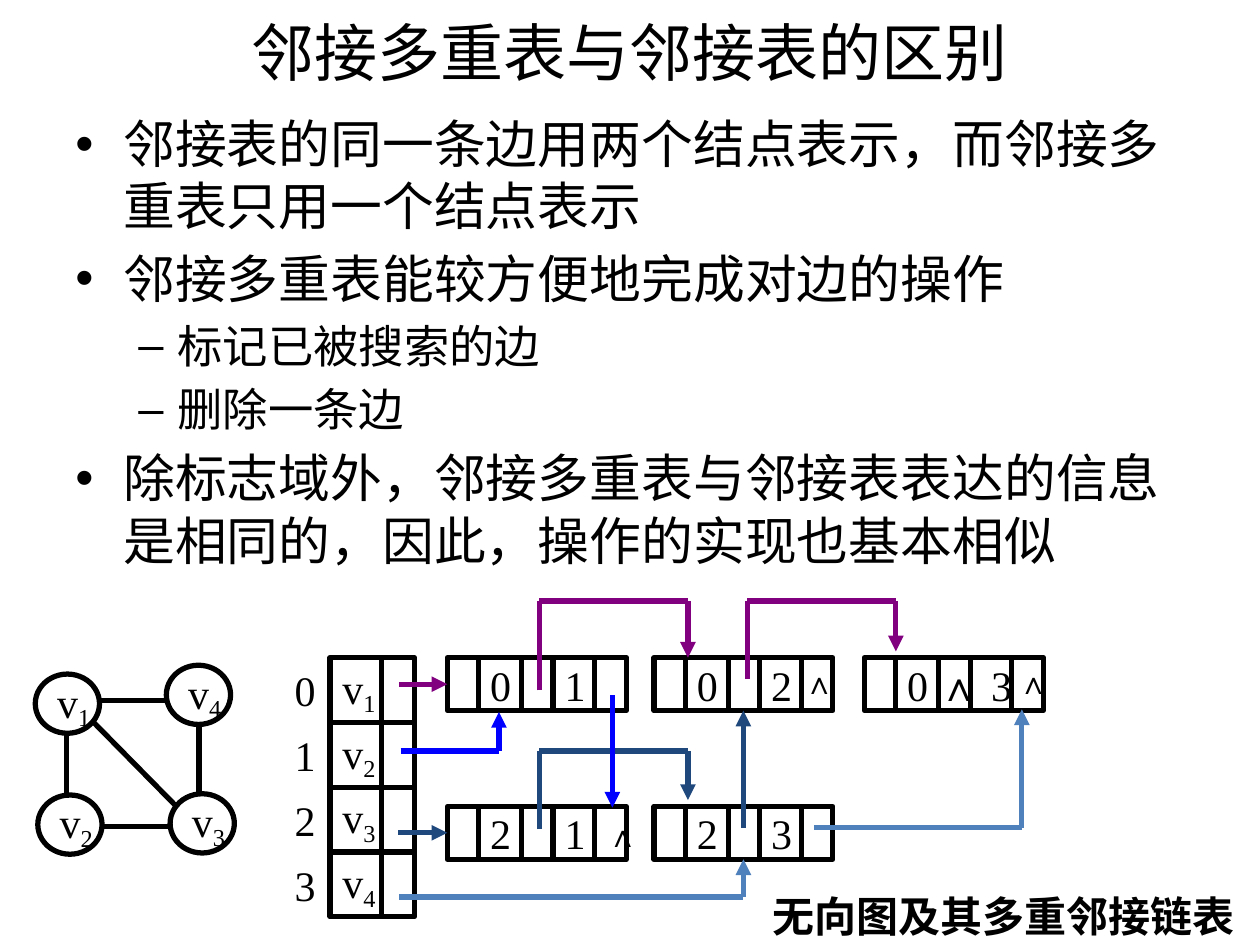
from lxml import etree
from pptx import Presentation
from pptx.dml.color import RGBColor
from pptx.enum import shapes, text
from pptx.oxml.ns import qn
from pptx import util as u

theme = {
    "black": "000000", "purple": "800080", "blue": "0000FF", "navy": "1F497D", "sky": "4F81BD",
    "heading": "Calibri", "diagram": "Times New Roman",
    "title": 36, "body": [29.6, 25.9], "label": 24, "null": 18, "stroke": 3,
}

presentation = Presentation()
presentation.slide_width = u.Inches(10)
presentation.slide_height = u.Inches(7.5)
column = presentation.slide_width / 100
row = presentation.slide_height / 75
slide = presentation.slides.add_slide(presentation.slide_layouts[6])


def box(preset, left, top, width, height, runs, size="label", font="diagram", bold=False,
        align=text.PP_ALIGN.LEFT, wrap=False):
    area = [round(n) for n in (left * column, top * row, width * column, height * row)]
    if preset is None:
        shape = slide.shapes.add_textbox(*area)
    else:
        shape = slide.shapes.add_shape(preset, *area)
        shape.shadow.inherit = False
        shape.fill.background()
        shape.line.color.rgb = RGBColor.from_string(theme["black"])
        shape.line.width = u.Pt(theme["stroke"])
    frame = shape.text_frame
    frame.word_wrap = wrap
    frame.vertical_anchor = text.MSO_ANCHOR.MIDDLE
    paragraph = frame.paragraphs[0]
    paragraph.alignment = align
    for index, words in enumerate(runs):
        run = paragraph.add_run()
        run.text = words
        run.font.name = theme[font]
        run.font.size = u.Pt(theme[size])
        run.font.bold = bold
        run.font.color.rgb = RGBColor.from_string(theme["black"])
        if index:
            run._r.get_or_add_rPr().set("baseline", "-20000")
    return shape


def route(color, points, arrow=True, target=None, side=None):
    for index, (start, end) in enumerate(zip(points, points[1:])):
        connector = slide.shapes.add_connector(
            shapes.MSO_CONNECTOR.STRAIGHT, round(start[0] * column), round(start[1] * row),
            round(end[0] * column), round(end[1] * row))
        connector.line.color.rgb = RGBColor.from_string(theme[color])
        connector.line.width = u.Pt(theme["stroke"])
        last = index == len(points) - 2
        if arrow and last:
            etree.SubElement(connector.line._get_or_add_ln(), qn("a:tailEnd"), type="triangle")
        etree.SubElement(connector._element.spPr, qn("a:effectLst"))
        if target is not None and last:
            connector.end_connect(target, side)


box(None, 5, -0.3, 90, 8.7, ["邻接多重表与邻接表的区别"], "title", "heading",
    align=text.PP_ALIGN.CENTER, wrap=True)

body = box(None, 5, 8.4, 90, 36.6, [], wrap=True).text_frame
body.vertical_anchor = text.MSO_ANCHOR.TOP
points = [
    (0, "邻接表的同一条边用两个结点表示，而邻接多重表只用一个结点表示"),
    (0, "邻接多重表能较方便地完成对边的操作"),
    (1, "标记已被搜索的边"),
    (1, "删除一条边"),
    (0, "除标志域外，邻接多重表与邻接表表达的信息是相同的，因此，操作的实现也基本相似"),
]
for index, (level, words) in enumerate(points):
    paragraph = body.add_paragraph() if index else body.paragraphs[0]
    paragraph.level = level
    paragraph.space_before = u.Pt(theme["body"][level] * 0.2)
    properties = paragraph._p.get_or_add_pPr()
    properties.set("marL", str(round([3.8, 8.1][level] * column)))
    properties.set("indent", str(round([-3.8, -3.1][level] * column)))
    etree.SubElement(properties, qn("a:buFont"), typeface="Arial")
    etree.SubElement(properties, qn("a:buChar"), char="•–"[level])
    run = paragraph.add_run()
    run.text = words
    run.font.name = theme["heading"]
    run.font.size = u.Pt(theme["body"][level])
    run.font.color.rgb = RGBColor.from_string(theme["black"])

box(None, 59.4, 70.6, 40.5, 4.2, ["无向图及其多重邻接链表"], bold=True,
    align=text.PP_ALIGN.CENTER)

vertices = [(2.8, 53.5), (3, 63.1), (13.5, 63), (13.2, 52.8)]
for number, (left, top) in enumerate(vertices, 1):
    box(shapes.MSO_SHAPE.OVAL, left, top, 5.1, 4.7, ["v", str(number)])
edges = [
    [(5.3, 58.3), (5.3, 63.3)], [(15.8, 57.6), (15.8, 63.2)], [(7.3, 57.2), (13.9, 63.9)],
    [(8, 55.6), (13.1, 55.6)], [(8.1, 65.6), (13.6, 65.6)],
]
for edge in edges:
    route("black", edge, arrow=False)

for index in range(4):
    top = 52.2 + 5.14 * index
    box(shapes.MSO_SHAPE.RECTANGLE, 26.2, top, 6.7, 5.14, ["v", str(index + 1)])
    route("black", [(30.3, top), (30.3, top + 5.14)], arrow=False)
    box(None, 22.4, top, 3.1, 5.14, [str(index)])

nodes = {}
for name, left, top, words in [
    ("01", 35.5, 52.2, "0\t1"), ("02", 51.9, 52.2, "0\t2"), ("03", 68.6, 52.2, "0 ∧ 3"),
    ("21", 35.5, 64, "2\t1"), ("23", 51.9, 64, "2\t3"),
]:
    node = box(shapes.MSO_SHAPE.RECTANGLE, left, top, 14.2, 4.2, [words], wrap=True)
    node.text_frame.margin_left = round(3.4 * column)
    node.text_frame.margin_right = 0
    tabs = etree.SubElement(node.text_frame.paragraphs[0]._p.get_or_add_pPr(), qn("a:tabLst"))
    etree.SubElement(tabs, qn("a:tab"), pos=str(round(5.9 * column)), algn="l")
    for offset in (2.5, 5.9, 8.4, 11.7):
        route("black", [(left + offset, top), (left + offset, top + 4.2)], arrow=False)
    nodes[name] = node

for left, top in [(79.8, 52.1), (62.8, 52.1), (47.2, 64.3)]:
    box(None, left, top, 3.5, 4, ["∧"], "null")

route("purple", [(31.7, 54.3), (35.5, 54.3)], target=nodes["01"], side=1)
route("navy", [(31.6, 66.1), (35.5, 66.1)], target=nodes["21"], side=1)
route("purple", [(42.8, 54.8), (42.8, 47.7), (54.6, 47.7), (54.6, 52.2)])
route("purple", [(59.3, 53.9), (59.3, 47.7), (71.1, 47.7), (71.1, 51.7)])
route("navy", [(42.8, 65.8), (42.8, 59.6), (54.6, 59.6), (54.6, 63.5)])
route("blue", [(31.8, 59.6), (39.6, 59.6), (39.6, 56.5)])
route("blue", [(48.6, 55.2), (48.6, 64.1)])
route("navy", [(59, 65.7), (59, 56.4)], target=nodes["02"], side=2)
route("sky", [(31.7, 71.2), (59, 71.2), (59, 68.2)], target=nodes["23"], side=2)
route("sky", [(64.6, 65.7), (81.1, 65.7), (81.1, 56.3)])

presentation.save("out.pptx")
